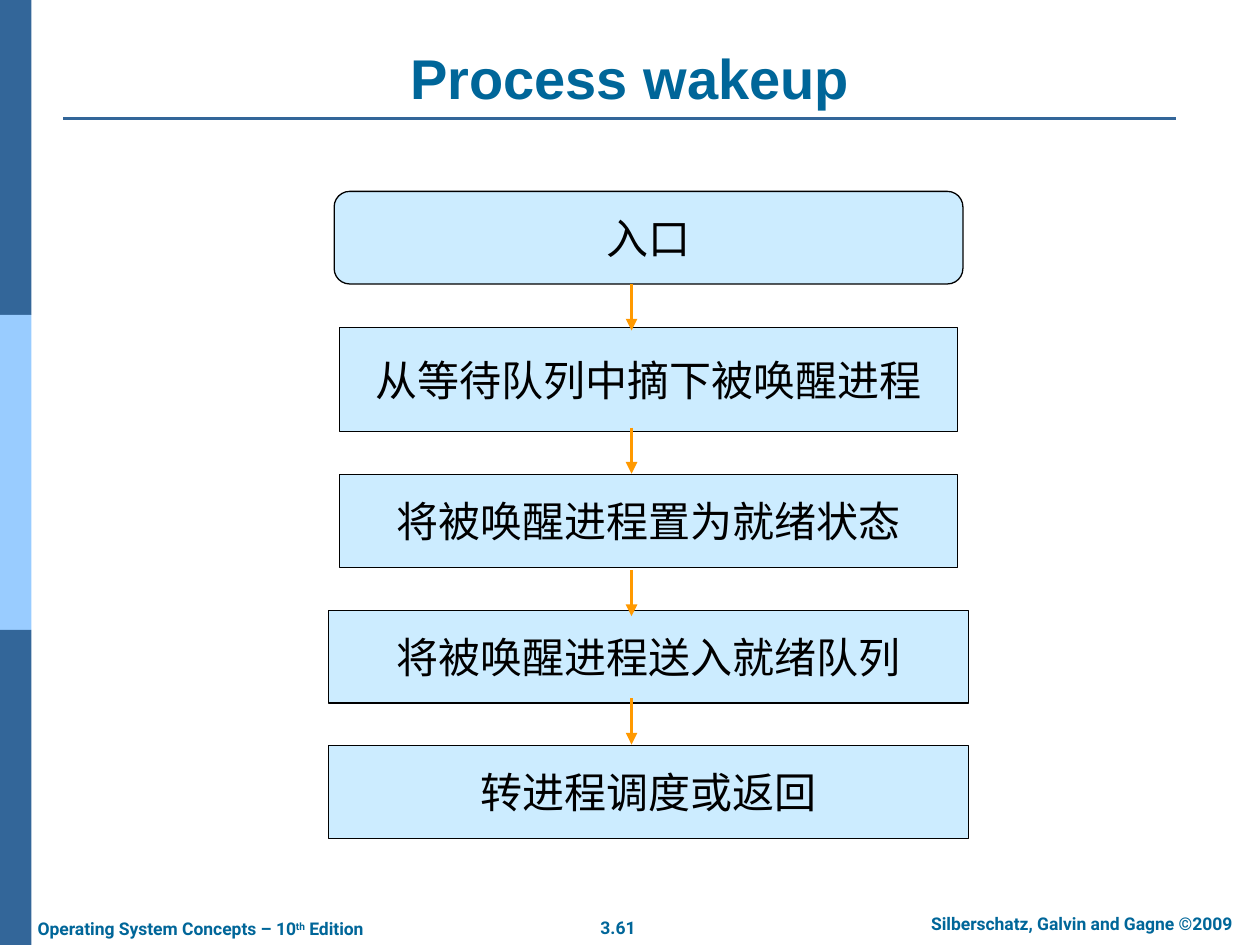
from lxml import etree
from pptx import Presentation
from pptx.dml.color import RGBColor
from pptx.enum import shapes, text
from pptx.oxml.ns import qn
from pptx.util import Pt

NAVY = RGBColor(0x33, 0x66, 0x99)
SKY = RGBColor(0x99, 0xCC, 0xFF)
TEAL = RGBColor(0x00, 0x66, 0x99)
PALE = RGBColor(0xCC, 0xEC, 0xFF)
ORANGE = RGBColor(0xFF, 0x99, 0x00)
BLACK = RGBColor(0, 0, 0)
KIND = shapes.MSO_SHAPE
ALIGN = text.PP_ALIGN


def style(para, name, size, color, bold, align):
    para.alignment = align
    font = para.font
    font.name, font.size, font.bold = name, Pt(size), bold
    font.color.rgb = color
    props = para._p.get_or_add_pPr().find(qn("a:defRPr"))
    etree.SubElement(props, qn("a:ea")).set("typeface", name)


def line(x1, y1, x2, y2, color, width):
    link = slide.shapes.add_connector(
        shapes.MSO_CONNECTOR.STRAIGHT, Pt(x1), Pt(y1), Pt(x2), Pt(y2))
    link.line.color.rgb = color
    link.line.width = Pt(width)
    etree.SubElement(link._element.spPr, qn("a:effectLst"))
    return link


deck = Presentation()
deck.slide_width, deck.slide_height = Pt(720), Pt(540)
slide = deck.slides.add_slide(deck.slide_layouts[5])

for i, color in enumerate((NAVY, SKY, NAVY)):
    band = slide.shapes.add_shape(KIND.RECTANGLE, 0, Pt(180 * i), Pt(18), Pt(180))
    band.shadow.inherit = False
    band.fill.solid()
    band.fill.fore_color.rgb = color
    band.line.fill.background()

line(36, 67.7, 671.8, 67.7, NAVY, 1.5)

title = slide.shapes.title
title.left, title.top, title.width, title.height = Pt(36), Pt(21.6), Pt(648), Pt(45.4)
title.text_frame.text = "Process wakeup"
title.text_frame.vertical_anchor = text.MSO_ANCHOR.BOTTOM
style(title.text_frame.paragraphs[0], "Arial", 32, TEAL, True, ALIGN.CENTER)

notes = [
    (335.5, 520.6, 35.3, False, ALIGN.CENTER, ["3.61"]),
    (511.2, 518.4, 213.8, True, ALIGN.CENTER, ["Silberschatz, Galvin and Gagne ©2009"]),
    (14.4, 521.3, 220.3, False, ALIGN.LEFT,
     ["Operating System Concepts – 10", "th", " Edition"]),
]
for x, y, w, wrap, align, parts in notes:
    box = slide.shapes.add_textbox(Pt(x), Pt(y), Pt(w), Pt(19.4))
    box.text_frame.word_wrap = wrap
    para = box.text_frame.paragraphs[0]
    for part in parts:
        run = para.add_run()
        run.text = part
        if part == "th":
            run._r.get_or_add_rPr().set("baseline", "30000")
    style(para, "Roboto", 10, TEAL, True, align)

MID = 370.6
steps = [
    (KIND.FLOWCHART_ALTERNATE_PROCESS, 109.4, 359.3, 52.9, "入口"),
    (KIND.FLOWCHART_PROCESS, 187.2, 352.8, 59.3, "从等待队列中摘下被唤醒进程"),
    (KIND.FLOWCHART_PROCESS, 271.3, 352.8, 52.9, "将被唤醒进程置为就绪状态"),
    (KIND.FLOWCHART_PROCESS, 348.8, 365.8, 52.9, "将被唤醒进程送入就绪队列"),
    (KIND.FLOWCHART_PROCESS, 426.2, 365.8, 52.9, "转进程调度或返回"),
]
for kind, y, w, h, label in steps:
    step = slide.shapes.add_shape(kind, Pt(MID - w / 2), Pt(y), Pt(w), Pt(h))
    step.shadow.inherit = False
    step.fill.solid()
    step.fill.fore_color.rgb = PALE
    step.line.color.rgb = BLACK
    step.line.width = Pt(0.75)
    frame = step.text_frame
    frame.text = label
    frame.word_wrap = False
    frame.vertical_anchor = text.MSO_ANCHOR.MIDDLE
    style(frame.paragraphs[0], "Noto Sans CJK SC", 24, BLACK, False, ALIGN.CENTER)

for y in (162.5, 244.3, 325.7, 399.1):
    arrow = line(360.9, y, 360.9, y + 26.4, ORANGE, 2.25)
    etree.SubElement(arrow.line._get_or_add_ln(), qn("a:tailEnd")).set("type", "triangle")

deck.save("out.pptx")
